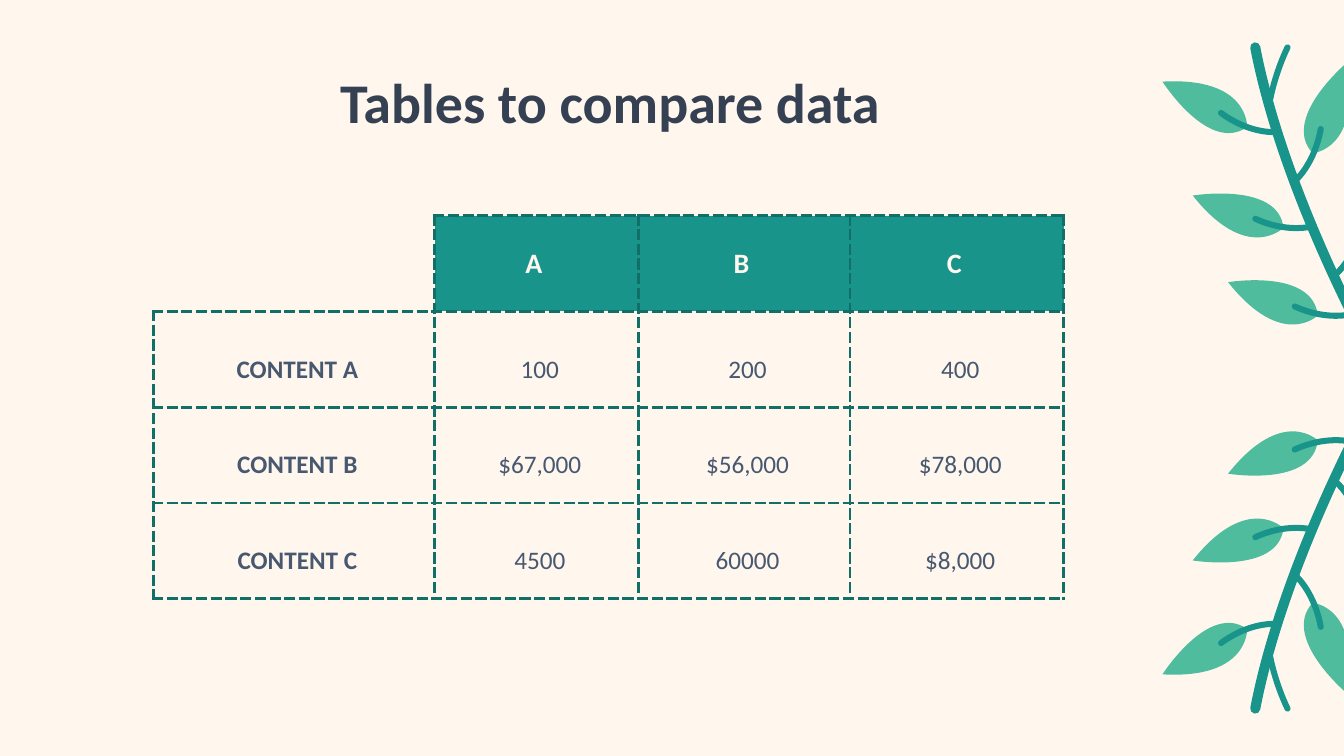
from lxml import etree
from pptx import Presentation
from pptx.dml.color import RGBColor
from pptx.enum.text import MSO_ANCHOR, MSO_AUTO_SIZE, PP_ALIGN
from pptx.oxml.ns import qn
from pptx.util import Inches, Pt

CENTER = PP_ALIGN.CENTER
TOP, MIDDLE = MSO_ANCHOR.TOP, MSO_ANCHOR.MIDDLE
GROW = MSO_AUTO_SIZE.SHAPE_TO_FIT_TEXT

W, H = 13.33, 7.5
FONT = "Calibri"
CREAM, TEAL, DARK_TEAL, LEAF = "FFF7EE", "18948B", "126F68", "4FBC9E"
INK, SLATE = "354153", "475870"

# Table grid
COLS, ROW_H = [2.79, 2.02, 2.1, 2.12], 0.95
ROWS = [
    ["", "A", "B", "C"],
    ["CONTENT A", "100", "200", "400"],
    ["CONTENT B", "$67,000", "$56,000", "$78,000"],
    ["CONTENT C", "4500", "60000", "$8,000"],
]
SIDES = ("L", "R", "T", "B")
HEAD_CELL = {"margin_left": 0, "margin_top": Inches(0.31),
             "margin_right": Inches(0.05), "margin_bottom": 0,
             "vertical_anchor": TOP}
BODY_CELL = {"margin_left": Inches(0.12), "margin_top": Inches(0.22),
             "margin_right": Inches(0.05), "margin_bottom": Inches(0.02),
             "vertical_anchor": MIDDLE}

# Upper branch, in inches: a leaf is base, upper bend, tip, lower bend
LEAVES = [
    [(12.37, 1.26), (12.39, 0.76), (11.53, 0.81), (11.99, 1.53)],
    [(13.02, 1.52), (13.51, 1.48), (13.35, 0.63), (12.7, 1.18)],
    [(12.73, 2.26), (12.37, 2.62), (11.83, 1.94), (12.68, 1.8)],
    [(13.07, 3.13), (12.72, 3.48), (12.18, 2.8), (13.02, 2.66)],
]
# A stalk is the width and the four control points of its centre line
STALKS = [
    (0.1, [(13.65, 3.58), (13.65, 3.57), (12.74, 1.97), (12.45, 0.47)]),
    (0.06, [(12.63, 1.31), (12.62, 1.31), (12.38, 1.32), (12.11, 1.12)]),
    (0.06, [(13.1, 1.28), (13.04, 1.61), (12.87, 1.77), (12.86, 1.78)]),
    (0.06, [(13.51, 2.22), (13.45, 2.54), (13.27, 2.7), (13.26, 2.71)]),
    (0.06, [(13, 2.25), (12.99, 2.25), (12.75, 2.31), (12.45, 2.17)]),
    (0.06, [(13.39, 3.12), (13.38, 3.12), (13.15, 3.18), (12.84, 3.04)]),
    (0.06, [(12.6, 0.98), (12.6, 0.97), (12.65, 0.72), (12.77, 0.47)]),
]
STEPS = 24


def rgb(color):
    return RGBColor.from_string(color)


def apply(obj, values):
    for name, value in values.items():
        setattr(obj, name, value)


def write(tf, text, size, color, bold):
    p = tf.paragraphs[0]
    p.alignment = CENTER
    r = p.add_run()
    r.text = text
    apply(r.font, {"name": FONT, "size": Pt(size), "bold": bold})
    r.font.color.rgb = rgb(color)


# Branches
def bezier(controls):
    """Points along a cubic curve, which give its bounds."""
    points = []
    for i in range(STEPS + 1):
        t = i / STEPS
        u = 1 - t
        weights = (u ** 3, 3 * u * u * t, 3 * u * t * t, t ** 3)
        points.append(tuple(sum(w * q[k] for w, q in zip(weights, controls))
                            for k in (0, 1)))
    return points


def add_curves(slide, curves, closed, flip):
    """A freeform of cubic curves, each starting where the last one ends."""
    def place(point):
        x, y = point
        return Inches(x), Inches(H - y if flip else y)

    bounds = [place(q) for curve in curves for q in bezier(curve)]
    builder = slide.shapes.build_freeform(*bounds[0])
    builder.add_line_segments(bounds[1:], close=False)
    sp = builder.convert_to_shape()
    sp.shadow.inherit = False

    outline = sp._element.find(".//" + qn("a:path"))
    for step in list(outline):
        outline.remove(step)

    def add_step(tag, points):
        step = etree.SubElement(outline, qn(tag))
        for x, y in map(place, points):
            etree.SubElement(step, qn("a:pt"),
                             x=str(x - sp.left), y=str(y - sp.top))

    add_step("a:moveTo", curves[0][:1])
    for curve in curves:
        add_step("a:cubicBezTo", curve[1:])
    if closed:
        add_step("a:close", [])
    return sp


def add_leaf(slide, leaf, flip):
    base, upper, tip, lower = leaf
    curves = [(base, base, upper, tip), (tip, tip, lower, base)]
    sp = add_curves(slide, curves, True, flip)
    sp.fill.solid()
    sp.fill.fore_color.rgb = rgb(LEAF)
    sp.line.fill.background()


def add_stalk(slide, width, controls, flip):
    sp = add_curves(slide, [controls], False, flip)
    sp.fill.background()
    sp.line.color.rgb = rgb(TEAL)
    sp.line.width = Inches(width)
    sp._element.find(".//" + qn("a:ln")).set("cap", "rnd")


def add_branch(slide, flip):
    for leaf in LEAVES:
        add_leaf(slide, leaf, flip)
    for width, controls in STALKS:
        add_stalk(slide, width, controls, flip)


# Table
def set_borders(cell, drawn):
    tc_pr = cell._tc.get_or_add_tcPr()
    for side in SIDES:
        ln = etree.SubElement(tc_pr, qn("a:ln" + side), w=str(Pt(2.25)))
        if side in drawn:
            fill = etree.SubElement(ln, qn("a:solidFill"))
            etree.SubElement(fill, qn("a:srgbClr"), val=DARK_TEAL)
            etree.SubElement(ln, qn("a:prstDash"), val="sysDash")
        else:
            etree.SubElement(ln, qn("a:noFill"))


def add_data_table(slide):
    frame = slide.shapes.add_table(
        len(ROWS), len(COLS), Inches(W * 0.114), Inches(H * 0.2853),
        Inches(sum(COLS)), Inches(ROW_H * len(ROWS)))
    table = frame.table
    apply(table, {"first_row": False, "horz_banding": False})
    for col, width in zip(table.columns, COLS):
        col.width = Inches(width)
    for i, row in enumerate(ROWS):
        table.rows[i].height = Inches(ROW_H)
        for j, text in enumerate(row):
            cell, head = table.cell(i, j), i == 0
            set_borders(cell, SIDES if text else ("R", "B"))
            apply(cell, HEAD_CELL if head else BODY_CELL)
            if head and text:
                cell.fill.solid()
                cell.fill.fore_color.rgb = rgb(TEAL)
            else:
                cell.fill.background()
            if text:
                write(cell.text_frame, text, 20 if head else 18,
                      CREAM if head else SLATE, head or j == 0)


# Title
def add_title(slide, text):
    sp = slide.shapes.title
    apply(sp, {"left": Inches(W * 0.1965), "top": Inches(H * 0.0827),
               "width": Inches(W * 0.5146), "height": Inches(H * 0.1027)})
    apply(sp.text_frame, {"word_wrap": True, "auto_size": GROW,
                          "vertical_anchor": TOP})
    write(sp.text_frame, text, 40, INK, True)


def main():
    prs = Presentation()
    apply(prs, {"slide_width": Inches(W), "slide_height": Inches(H)})
    slide = prs.slides.add_slide(prs.slide_layouts[5])
    slide.background.fill.solid()
    slide.background.fill.fore_color.rgb = rgb(CREAM)
    add_data_table(slide)
    add_title(slide, "Tables to compare data")
    for flip in (True, False):
        add_branch(slide, flip)
    prs.save("out.pptx")


if __name__ == "__main__":
    main()
